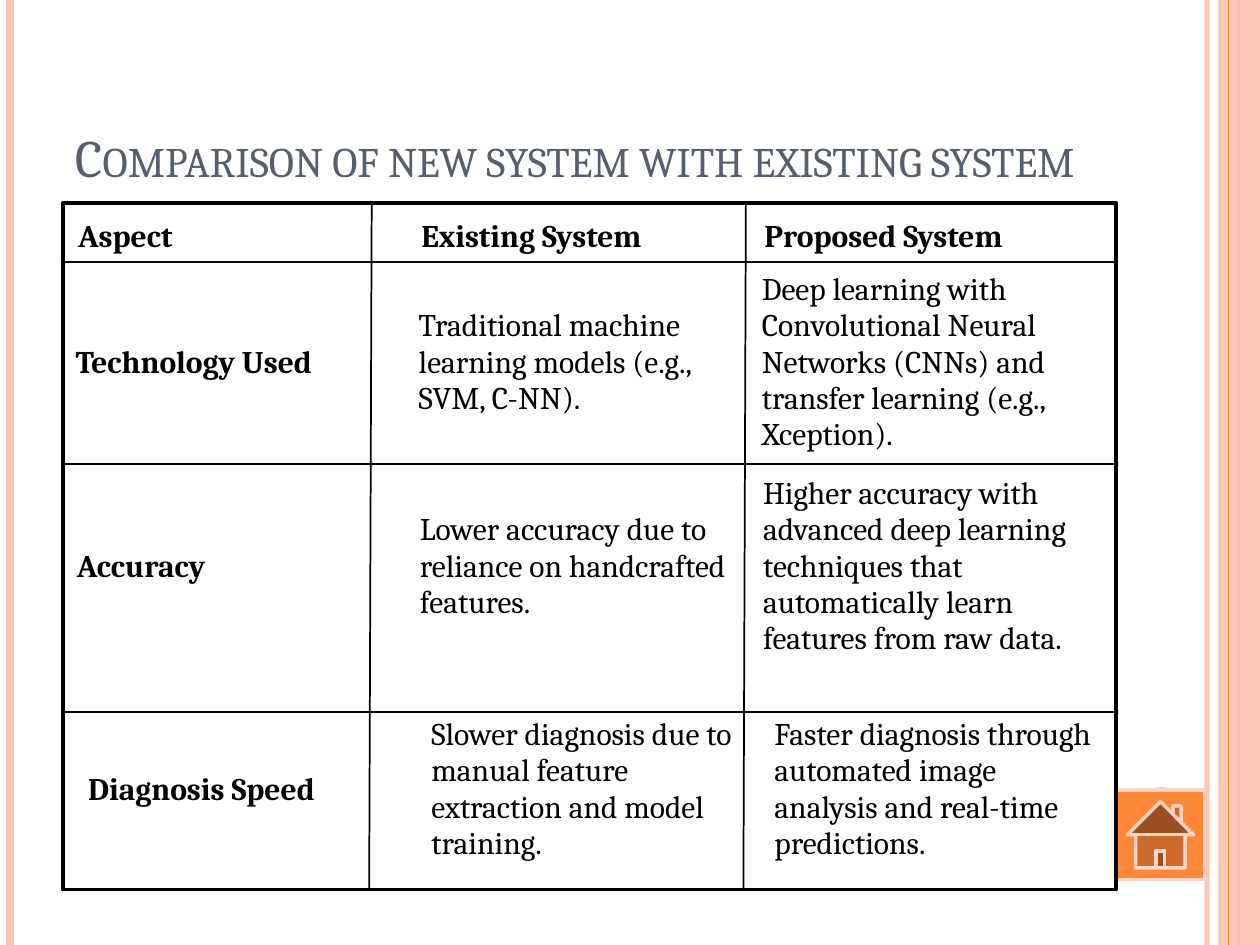
from pptx import Presentation
from pptx.dml.color import RGBColor
from pptx.enum.shapes import MSO_CONNECTOR, MSO_SHAPE
from pptx.enum.text import MSO_ANCHOR
from pptx.oxml.ns import qn
from pptx.util import Inches, Pt
from lxml import etree

COLORS = {
    "peach": "FEC3AE",
    "orange": "FE8637",
    "button_line": "FFD4C7",
    "title": "575F6D",
    "black": "000000",
    "near_black": "0D0D0D",
}
FONT = "Cambria"
NO_STYLE_NO_GRID = "{2D5ABB26-0587-4C30-8999-92F81FD0307C}"

presentation = Presentation()
presentation.slide_width, presentation.slide_height = Inches(10), Inches(7.5)
slide = presentation.slides.add_slide(presentation.slide_layouts[6])


def add_line(start, end, color, width, opacity=100):
    line = slide.shapes.add_connector(
        MSO_CONNECTOR.STRAIGHT, *[Inches(value) for value in (*start, *end)])
    line.line.color.rgb = RGBColor.from_string(COLORS[color])
    line.line.width = Pt(width)
    properties = line._element.spPr
    etree.SubElement(properties, qn("a:effectLst"))
    if opacity < 100:
        color_element = next(properties.iter(qn("a:srgbClr")))
        etree.SubElement(color_element, qn("a:alpha"), val=str(opacity * 1000))


def add_box(kind, box, fill=None, outline=None, width=2):
    shape = slide.shapes.add_shape(kind, *[Inches(value) for value in box])
    shape.shadow.inherit = False
    if fill:
        shape.fill.solid()
        shape.fill.fore_color.rgb = RGBColor.from_string(COLORS[fill])
    else:
        shape.fill.background()
    if outline:
        shape.line.color.rgb = RGBColor.from_string(COLORS[outline])
        shape.line.width = Pt(width)
    else:
        shape.line.fill.background()
    return shape


# Side stripes: x, colour, width, opacity
for x, color, width, opacity in [(9.58, "peach", 3, 93), (0.08, "peach", 4.5, 100),
                                 (9.83, "orange", 1.5, 100)]:
    add_line((x, 0), (x, 7.5), color, width, opacity)
band = add_box(MSO_SHAPE.RECTANGLE, (9.67, 0, 0.33, 7.5), "peach")
band_color = next(band._element.spPr.iter(qn("a:srgbClr")))
etree.SubElement(band_color, qn("a:alpha"), val="87000")
add_line((9.75, 0), (9.75, 7.5), "orange", 0.75)

# Home button over its disc
add_box(MSO_SHAPE.OVAL, (8.92, 6.25, 0.6, 0.6), "orange")
add_box(MSO_SHAPE.ACTION_BUTTON_HOME, (8.86, 6.27, 0.7, 0.71), "orange", "button_line")

# Title in small capitals
title = slide.shapes.add_textbox(Inches(0.5), Inches(0.29), Inches(8.17), Inches(1.25))
title.text_frame.word_wrap = True
title.text_frame.vertical_anchor = MSO_ANCHOR.BOTTOM
run = title.text_frame.paragraphs[0].add_run()
run.text = "Comparison of new system with existing system"
for name, value in {"name": FONT, "size": Pt(30)}.items():
    setattr(run.font, name, value)
run.font.color.rgb = RGBColor.from_string(COLORS["title"])
run.font._element.set("cap", "small")

# Comparison tables, one row each: left, top, height, cell texts
comparison = [
    (0.52, 1.68, 0.4, ["Aspect", "Existing System", "Proposed System"]),
    (0.5, 2.08, 1.36, [
        "Technology Used",
        "Traditional machine learning models (e.g., SVM, C-NN).",
        "Deep learning with Convolutional Neural Networks (CNNs) and "
        "transfer learning (e.g., Xception)."]),
    (0.51, 3.7, 1.54, [
        "Accuracy",
        "Lower accuracy due to reliance on handcrafted features.",
        "Higher accuracy with advanced deep learning techniques that "
        "automatically learn features from raw data."]),
    (0.6, 5.16, 2.22, [
        "Diagnosis Speed",
        "Slower diagnosis due to manual feature extraction and model training.",
        "Faster diagnosis through automated image analysis and real-time predictions."]),
]
for row, (left, top, height, texts) in enumerate(comparison):
    table = slide.shapes.add_table(
        1, 3, Inches(left), Inches(top), Inches(8.17), Inches(height)).table
    table.first_row = table.horz_banding = False
    next(table._tbl.iter(qn("a:tableStyleId"))).text = NO_STYLE_NO_GRID
    for column, text in enumerate(texts):
        cell = table.cell(0, column)
        cell.fill.background()
        cell.vertical_anchor = MSO_ANCHOR.MIDDLE
        cell.text = text
        font = cell.text_frame.paragraphs[0].runs[0].font
        cell_format = {"name": FONT, "size": Pt(18), "bold": row == 0 or column == 0}
        for name, value in cell_format.items():
            setattr(font, name, value)
        font.color.rgb = RGBColor.from_string(COLORS["black"])

# Frame and rules around the tables
add_box(MSO_SHAPE.RECTANGLE, (0.5, 1.61, 8.36, 5.45), outline="black")
for y, color in [(2.08, "near_black"), (3.68, "black"), (5.65, "black")]:
    add_line((0.5, y), (8.86, y), color, 1)
for x in (2.95, 5.92):
    add_line((x, 1.61), (x - 0.02, 7.06), "black", 1)

presentation.save("out.pptx")
